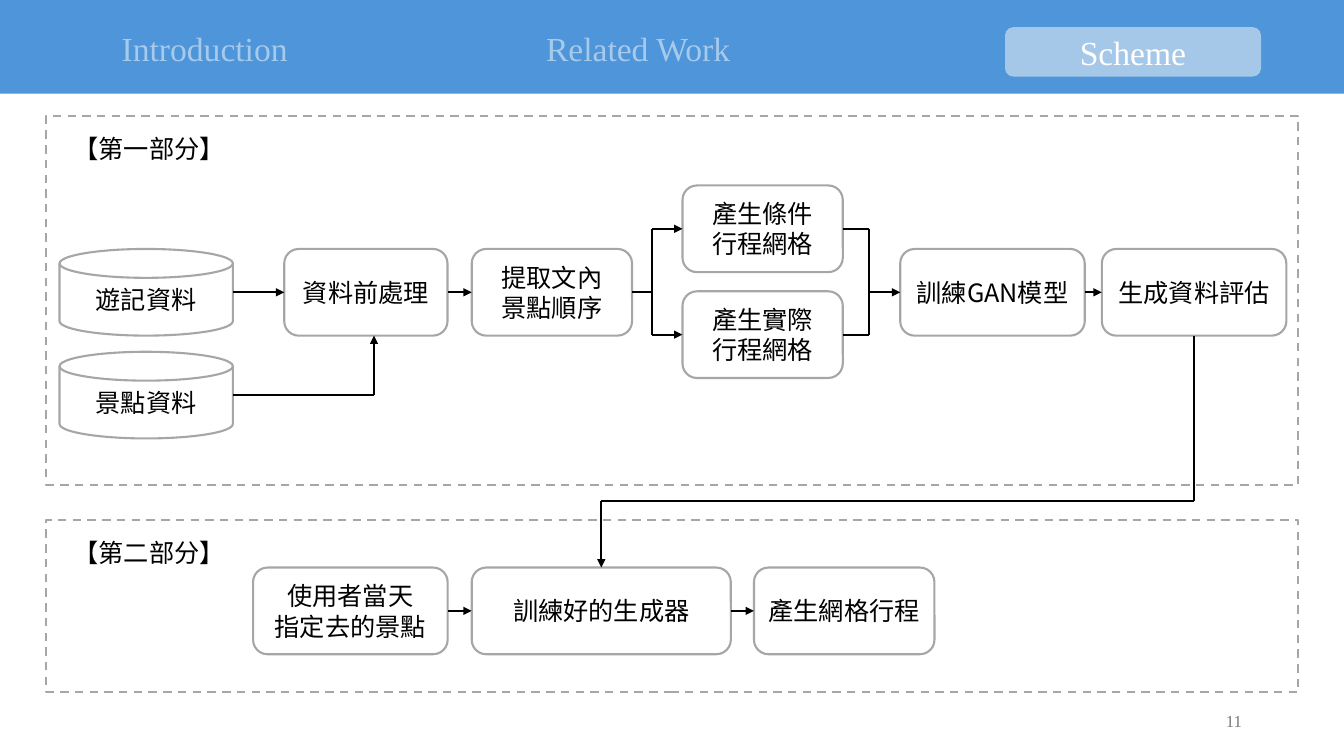
from lxml import etree
from pptx import Presentation
from pptx import util as u
from pptx.dml.color import RGBColor
from pptx.enum import dml, shapes, text
from pptx.oxml.ns import qn

COLORS = {"bar": "4E95D9", "highlight": "F6F6F6", "tab": "A6CAEC", "active": "FFFFFF",
          "outline": "A6A6A6", "ink": "000000", "page": "797979"}
SERIF, SANS = "Times New Roman", "Noto Sans CJK SC"
WIDTH, HEIGHT = u.Inches(13.33), u.Inches(7.5)
COL, ROW = WIDTH / 100, HEIGHT / 100
STEP_H = 11.47
TOP, LEFT, BOTTOM, RIGHT = range(4)
ROUND = shapes.MSO_SHAPE.ROUNDED_RECTANGLE
DISK = shapes.MSO_SHAPE.FLOWCHART_MAGNETIC_DISK
RECT = shapes.MSO_SHAPE.RECTANGLE


def color(name):
    """Return a palette colour."""
    return RGBColor.from_string(COLORS[name])


def place(box, col, row, cols, rows):
    """Turn grid cells inside a box into slide lengths."""
    return (int((box[0] + col) * COL), int((box[1] + row) * ROW),
            int(cols * COL), int(rows * ROW))


def point(box, col, row):
    """Turn a grid point inside a box into a slide position."""
    return place(box, col, row, 0, 0)[:2]


def write(frame, wording, size, font, ink, align=text.PP_ALIGN.CENTER):
    """Fill a text frame, one paragraph per line of wording."""
    frame.text = wording
    for paragraph in frame.paragraphs:
        paragraph.alignment = align
        paragraph.font.size = u.Pt(size)
        paragraph.font.name = font
        paragraph.font.color.rgb = color(ink)
        east_asian = etree.SubElement(paragraph.font._element, qn("a:ea"))
        east_asian.set("typeface", font)


def add_label(slide, area, wording, size, font, ink, align, wrap=True):
    """Add a text box and return its frame."""
    frame = slide.shapes.add_textbox(*area).text_frame
    frame.word_wrap = wrap
    frame.auto_size = text.MSO_AUTO_SIZE.SHAPE_TO_FIT_TEXT
    write(frame, wording, size, font, ink, align)
    return frame


def add_panel(slide, kind, area, fill=None):
    """Add a filled panel, or a hollow one with a grey outline."""
    panel = slide.shapes.add_shape(kind, *area)
    panel.shadow.inherit = False
    if fill:
        panel.fill.solid()
        panel.fill.fore_color.rgb = color(fill)
        panel.line.fill.background()
    else:
        panel.fill.background()
        panel.line.color.rgb = color("outline")
        panel.line.width = u.Pt(1.5)
    return panel


def add_step(slide, kind, area, wording):
    """Add one labelled step of the flow."""
    step = add_panel(slide, kind, area)
    step.text_frame.word_wrap = True
    step.text_frame.vertical_anchor = text.MSO_ANCHOR.MIDDLE
    write(step.text_frame, wording, 18, SANS, "ink")
    return step


def link(slide, *stops, arrow=True):
    """Draw straight segments through points and (step, side) joints."""
    for index, (start, end) in enumerate(zip(stops, stops[1:]), 2):
        ends = [stop if isinstance(stop[0], int) else middle(*stop) for stop in (start, end)]
        segment = slide.shapes.add_connector(shapes.MSO_CONNECTOR.STRAIGHT, *ends[0], *ends[1])
        segment.line.color.rgb = color("ink")
        segment.line.width = u.Pt(1.5)
        if not isinstance(start[0], int):
            segment.begin_connect(*start)
        if not isinstance(end[0], int):
            segment.end_connect(*end)
        if arrow and index == len(stops):
            tail = etree.SubElement(segment.line._get_or_add_ln(), qn("a:tailEnd"))
            tail.set("type", "triangle")
        etree.SubElement(segment._element.spPr, qn("a:effectLst"))


def middle(step, side):
    """Return the middle of one side of a step."""
    across = {LEFT: 0, RIGHT: step.width}.get(side, step.width // 2)
    down = {TOP: 0, BOTTOM: step.height}.get(side, step.height // 2)
    return step.left + across, step.top + down


def add_header(slide, box):
    """Draw the bar with its three section tabs."""
    add_panel(slide, RECT, place(box, 0, 0, *box[2:]), "bar")
    highlight = add_panel(slide, ROUND, place(box, 74.78, 3.6, 19.05, 6.53), "highlight")
    tint = highlight.fill._xPr.find(".//" + qn("a:srgbClr"))
    etree.SubElement(tint, qn("a:alpha")).set("val", "53000")
    for wording, col, row, ink in (("Introduction", 4.88, 3.07, "tab"),
                                   ("Related Work", 37.13, 3.07, "tab"),
                                   ("Scheme", 73.95, 3.6, "active")):
        add_label(slide, place(box, col, row, 20.7, 6.67), wording, 24, SERIF, ink,
                  text.PP_ALIGN.CENTER)


def add_part(slide, box, title):
    """Draw the dashed frame and title of one part."""
    frame = add_panel(slide, RECT, place(box, 0, 0, *box[2:]))
    frame.line.dash_style = dml.MSO_LINE.DASH
    add_label(slide, place(box, 1.28, 1.6, 12.9, 5.33), title, 18, SANS, "ink",
              text.PP_ALIGN.LEFT, wrap=False)


def add_training(slide, box):
    """Draw the first part and return its last step."""
    add_part(slide, box, "【第一部分】")

    def step(wording, col, cols, row=17.6, kind=ROUND):
        return add_step(slide, kind, place(box, col, row, cols, STEP_H), wording)

    spots = step("景點資料", 0.98, 12.9, 31.2, DISK)
    journals = step("遊記資料", 0.98, 12.9, kind=DISK)
    cleaning = step("資料前處理", 17.7, 12.15)
    ordering = step("提取文內\n景點順序", 31.65, 11.93)
    grids = [step("產生條件\n行程網格", 47.33, 11.93, 9.2),
             step("產生實際\n行程網格", 47.33, 11.93, 23.2)]
    training = step("訓練GAN模型", 63.53, 13.73)
    rating = step("生成資料評估", 78.53, 13.73)

    link(slide, middle(journals, RIGHT), (cleaning, LEFT))
    spots_out = middle(spots, RIGHT)
    rise = point(box, 24.38, 0)[0]
    link(slide, spots_out, (rise, spots_out[1]), (rise, middle(cleaning, BOTTOM)[1]))
    link(slide, (cleaning, RIGHT), (ordering, LEFT))
    axis = middle(ordering, RIGHT)[1]
    fork, merge = (point(box, col, 0)[0] for col in (45.08, 61.2))
    link(slide, (ordering, RIGHT), (fork, axis), arrow=False)
    for grid in grids:
        level = middle(grid, LEFT)[1]
        link(slide, (fork, axis), (fork, level), (grid, LEFT))
        link(slide, (grid, RIGHT), (merge, level), (merge, axis), arrow=False)
    link(slide, (merge, axis), (training, LEFT))
    link(slide, (training, RIGHT), (rating, LEFT))
    return rating


def add_generation(slide, box):
    """Draw the second part and return the trained generator."""
    add_part(slide, box, "【第二部分】")
    request, generator, result = (
        add_step(slide, ROUND, place(box, col, 6.27, cols, STEP_H), wording)
        for wording, col, cols in (("使用者當天\n指定去的景點", 15.38, 14.48),
                                   ("訓練好的生成器", 31.65, 19.28),
                                   ("產生網格行程", 52.65, 13.43)))
    link(slide, (request, RIGHT), (generator, LEFT))
    link(slide, (generator, RIGHT), (result, LEFT))
    return generator


def add_page_number(slide, box):
    """Write the page number at the right of its box."""
    frame = add_label(slide, place(box, 0, 0, *box[2:]), "11", 12, SERIF, "page",
                      text.PP_ALIGN.RIGHT)
    frame.auto_size = text.MSO_AUTO_SIZE.NONE
    frame.vertical_anchor = text.MSO_ANCHOR.MIDDLE


def main():
    """Build the scheme slide."""
    deck = Presentation()
    deck.slide_width, deck.slide_height = WIDTH, HEIGHT
    slide = deck.slides.add_slide(deck.slide_layouts[6])
    add_header(slide, (0, 0, 100, 12.4))
    add_page_number(slide, (70.65, 92.67, 22.5, 5.33))
    rating = add_training(slide, (3.45, 15.33, 93.15, 48.8))
    generator = add_generation(slide, (3.45, 68.8, 93.15, 22.8))
    gap = int(66.27 * ROW)
    link(slide, (rating, BOTTOM), (middle(rating, BOTTOM)[0], gap),
         (middle(generator, TOP)[0], gap), (generator, TOP))
    deck.save("out.pptx")


if __name__ == "__main__":
    main()
